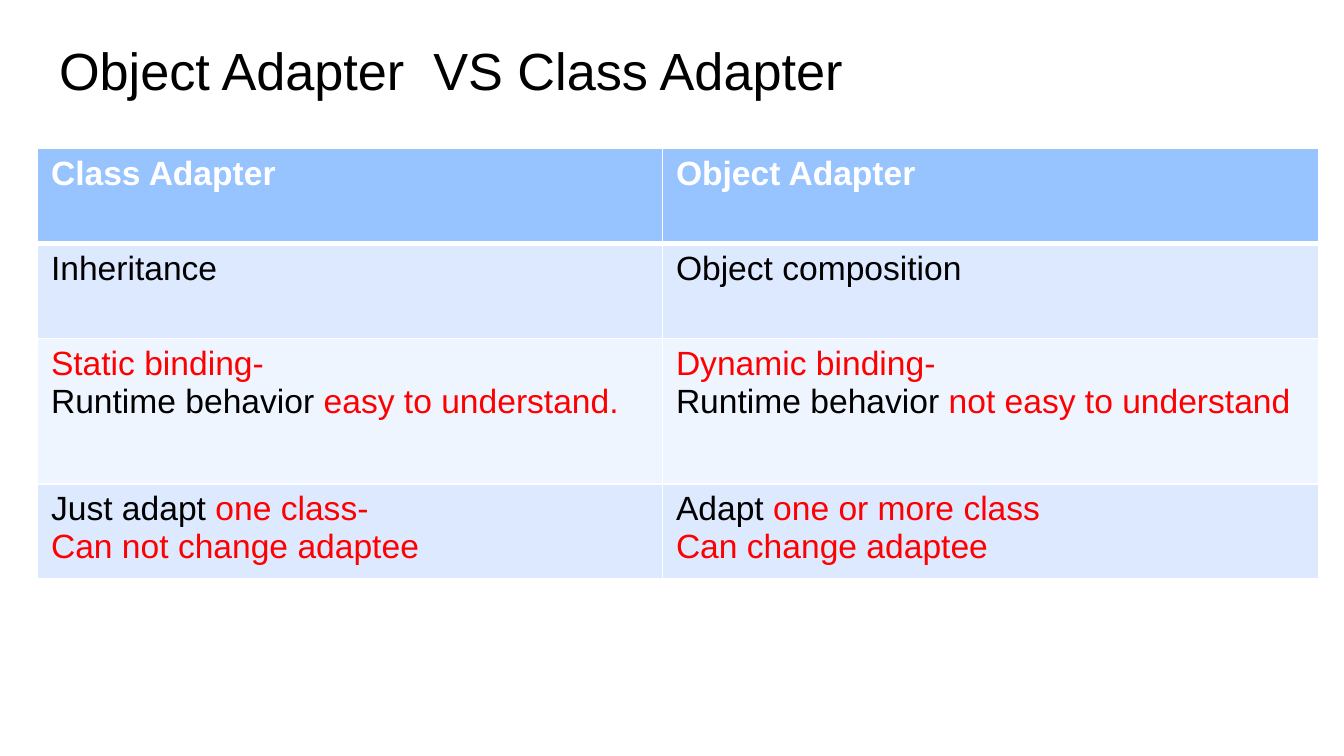
import pptx
import pptx.dml.color
import pptx.enum.text
import pptx.oxml
import pptx.oxml.ns
import pptx.util
from pptx.util import Inches

COLORS = {
    "white": "FFFFFF",
    "black": "000000",
    "red": "FF0000",
    "head": "97C3FF",
    "dark": "DDE9FF",
    "light": "EFF5FF",
}
FONT = "Arial"
WIDTHS = [4.65, 4.88]
HEIGHTS = [0.71, 0.71, 1.08, 0.71]
FILLS = ["head", "dark", "light", "dark"]
ROWS = [
    [
        [[("Class Adapter", "white")]],
        [[("Object Adapter", "white")]],
    ],
    [
        [[("Inheritance", "black")]],
        [[("Object composition", "black")]],
    ],
    [
        [
            [("Static binding-", "red")],
            [("Runtime behavior ", "black"), ("easy to understand.", "red")],
        ],
        [
            [("Dynamic binding-", "red")],
            [("Runtime behavior ", "black"), ("not easy to understand", "red")],
        ],
    ],
    [
        [
            [("Just adapt ", "black"), ("one class-", "red")],
            [("Can not change adaptee", "red")],
        ],
        [
            [("Adapt ", "black"), ("one or more class", "red")],
            [("Can change adaptee", "red")],
        ],
    ],
]


def rgb(name):
    return pptx.dml.color.RGBColor.from_string(COLORS[name])


def write(frame, lines, size, bold=False):
    for i, line in enumerate(lines):
        para = frame.paragraphs[0] if i == 0 else frame.add_paragraph()
        para.font.name = FONT
        para.font.size = pptx.util.Pt(size)
        para.font.bold = bold
        for text, color in line:
            run = para.add_run()
            run.text = text
            font = para.font if len(line) == 1 else run.font
            font.color.rgb = rgb(color)


def add_title(slide, text):
    box = slide.shapes.add_textbox(
        Inches(0.44), Inches(0.03), Inches(8.7), Inches(0.72)
    )
    frame = box.text_frame
    frame.word_wrap = True
    frame.vertical_anchor = pptx.enum.text.MSO_ANCHOR.BOTTOM
    frame.margin_left = frame.margin_right = 0
    frame.margin_top = frame.margin_bottom = 0
    write(frame, [[(text, "black")]], 28)
    frame.paragraphs[0].line_spacing = 0.85


def add_border(cell, side, width):
    props = cell._tc.get_or_add_tcPr()
    props.append(pptx.oxml.parse_xml(
        f'<a:ln{side} {pptx.oxml.ns.nsdecls("a")} w="{pptx.util.Pt(width)}">'
        f'<a:solidFill><a:srgbClr val="{COLORS["white"]}"/></a:solidFill>'
        f'</a:ln{side}>'
    ))


def add_grid(slide):
    table = slide.shapes.add_table(
        len(ROWS), len(WIDTHS), Inches(0.28), Inches(1.1),
        Inches(sum(WIDTHS)), Inches(sum(HEIGHTS)),
    ).table
    for col, width in zip(table.columns, WIDTHS):
        col.width = Inches(width)
    for r, row in enumerate(ROWS):
        table.rows[r].height = Inches(HEIGHTS[r])
        for c, lines in enumerate(row):
            cell = table.cell(r, c)
            for side in "LRTB":
                thick = (r, side) in [(0, "B"), (1, "T")]
                add_border(cell, side, 3 if thick else 1)
            cell.fill.solid()
            cell.fill.fore_color.rgb = rgb(FILLS[r])
            write(cell.text_frame, lines, 18, bold=r == 0)


def main():
    deck = pptx.Presentation()
    deck.slide_width = Inches(10)
    deck.slide_height = Inches(10) * 9 // 16
    slide = deck.slides.add_slide(deck.slide_layouts[6])
    add_title(slide, "Object Adapter  VS Class Adapter")
    add_grid(slide)
    deck.save("out.pptx")


if __name__ == "__main__":
    main()
